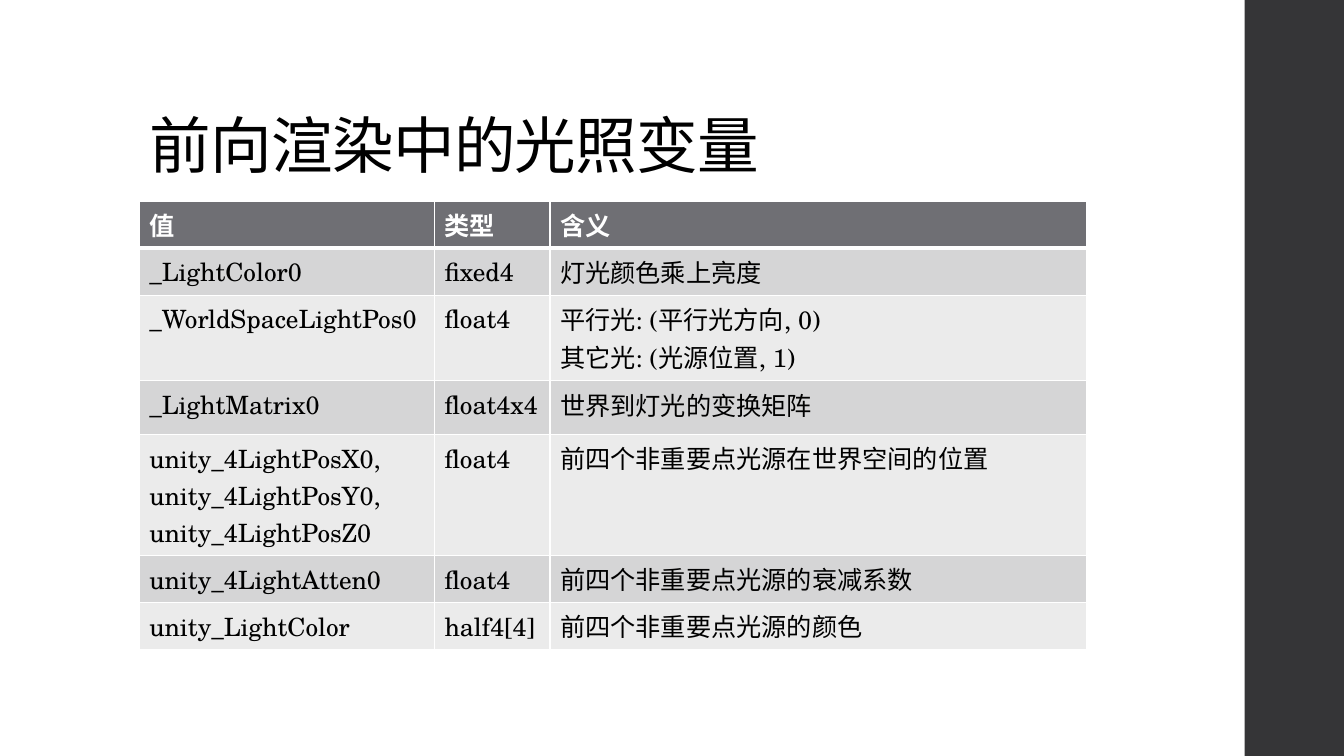
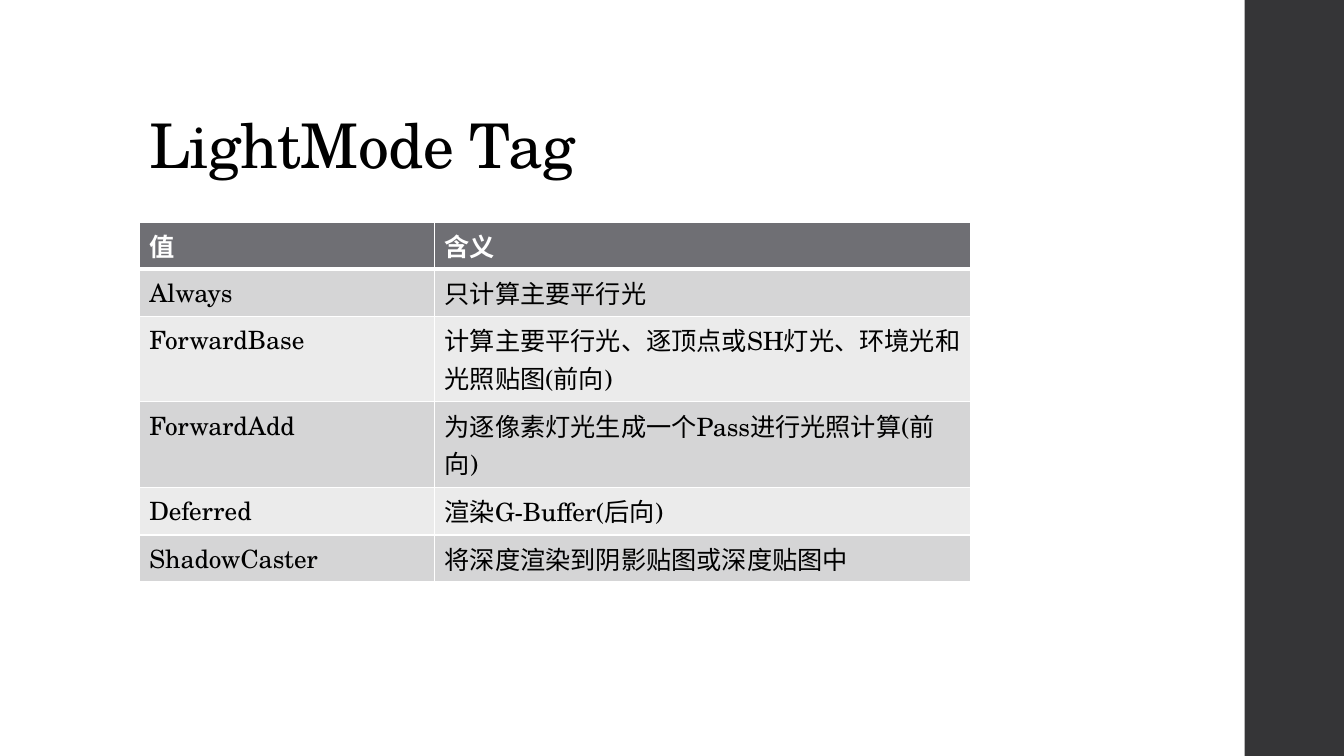
from dataclasses import dataclass

from lxml.etree import SubElement
from pptx import Presentation
from pptx.dml.color import RGBColor as RGB
from pptx.enum.shapes import MSO_SHAPE as Shape
from pptx.enum.text import MSO_ANCHOR as Anchor, MSO_AUTO_SIZE as AutoSize, PP_ALIGN as Align
from pptx.oxml.ns import qn
from pptx.util import Pt


@dataclass(frozen=True)
class Theme:
    font: str = "TeX Gyre Schola"
    title_size: int = 44
    body_size: int = 18
    ink: str = "000000"
    paper: str = "FFFFFF"
    side_band: str = "353537"
    header: str = "6F6F74"
    stripes: tuple = ("D5D5D6", "EBEBEB")
    rule: int = 1
    header_rule: int = 3


theme = Theme()

LEFT = 99.4
VALUE_W, TYPE_W, MEANING_W = 211, 82.5, 383
ROW_H, TALL_ROW_H, TALL_ROW = 29.2, 38.4, 3

# Content: title, table top, column widths, rows
pages = [
    ("前向渲染中的光照变量", 144, (VALUE_W, TYPE_W, MEANING_W), [
        ("值", "类型", "含义"),
        ("_LightColor0", "fixed4", "灯光颜色乘上亮度"),
        ("_WorldSpaceLightPos0", "float4", "平行光: (平行光方向, 0)\n其它光: (光源位置, 1)"),
        ("_LightMatrix0", "float4x4", "世界到灯光的变换矩阵"),
        ("unity_4LightPosX0,\nunity_4LightPosY0,\nunity_4LightPosZ0", "float4",
         "前四个非重要点光源在世界空间的位置"),
        ("unity_4LightAtten0", "float4", "前四个非重要点光源的衰减系数"),
        ("unity_LightColor", "half4[4]", "前四个非重要点光源的颜色"),
    ]),
    ("LightMode Tag", 159, (VALUE_W, MEANING_W), [
        ("值", "含义"),
        ("Always", "只计算主要平行光"),
        ("ForwardBase", "计算主要平行光、逐顶点或SH灯光、环境光和光照贴图(前向)"),
        ("ForwardAdd", "为逐像素灯光生成一个Pass进行光照计算(前向)"),
        ("Deferred", "渲染G-Buffer(后向)"),
        ("ShadowCaster", "将深度渲染到阴影贴图或深度贴图中"),
    ]),
]


def style_runs(text_frame, size, color, bold=False):
    for paragraph in text_frame.paragraphs:
        for run in paragraph.runs:
            run.font.name = theme.font
            run.font.size = Pt(size)
            run.font.bold = bold
            run.font.color.rgb = RGB.from_string(color)


def add_borders(cell, top, bottom):
    """Borders must stand before the fill in the cell properties."""
    properties = cell._tc.get_or_add_tcPr()
    widths = {"a:lnL": theme.rule, "a:lnR": theme.rule, "a:lnT": top, "a:lnB": bottom}
    for position, (tag, width) in enumerate(widths.items()):
        line = SubElement(properties, qn(tag), w=str(Pt(width)))
        fill = SubElement(line, qn("a:solidFill"))
        SubElement(fill, qn("a:srgbClr"), val=theme.paper)
        properties.insert(position, line)


deck = Presentation()
deck.slide_width, deck.slide_height = Pt(960), Pt(540)

# Shared layout: title place and style
layout = deck.slide_layouts.get_by_name("Title Only")
heading = layout.placeholders[0]
heading.left, heading.top = Pt(LEFT), Pt(28.8)
heading.width, heading.height = Pt(763.2), Pt(104.4)
heading.text_frame.vertical_anchor = Anchor.BOTTOM
heading.text_frame.auto_size = AutoSize.NONE

slides = [deck.slides.add_slide(layout) for page in pages]

# Shared layout: dark band on the right, moved from the first slide
band = slides[0].shapes.add_shape(Shape.RECTANGLE, Pt(889), 0, Pt(71), Pt(540))
band.shadow.inherit = False
band.fill.solid()
band.fill.fore_color.rgb = RGB.from_string(theme.side_band)
band.line.fill.background()
band.element.nvSpPr.cNvPr.set("id", "20")
layout.shapes.element.insert(2, band.element)

for slide, (title, top, widths, rows) in zip(slides, pages):
    # Title
    title_frame = slide.shapes.title.text_frame
    title_frame.text = title
    title_frame.vertical_anchor = Anchor.BOTTOM
    title_line = title_frame.paragraphs[0]
    title_line.alignment = Align.LEFT
    title_line.line_spacing = 0.9
    style_runs(title_frame, theme.title_size, theme.ink)
    title_line.runs[0].font._element.set("spc", "-50")

    # Table
    heights = [TALL_ROW_H if r == TALL_ROW else ROW_H for r in range(len(rows))]
    variables = slide.shapes.add_table(
        len(rows), len(widths), Pt(LEFT), Pt(top), Pt(sum(widths)), Pt(sum(heights))).table
    for column, width in zip(variables.columns, widths):
        column.width = Pt(width)
    for r, (row, height, texts) in enumerate(zip(variables.rows, heights, rows)):
        row.height = Pt(height)
        is_header = r == 0
        for cell, text in zip(row.cells, texts):
            cell.text_frame.text = text
            style_runs(cell.text_frame, theme.body_size,
                       theme.paper if is_header else theme.ink, bold=is_header)
            cell.fill.solid()
            cell.fill.fore_color.rgb = RGB.from_string(
                theme.header if is_header else theme.stripes[(r - 1) % 2])
            add_borders(cell,
                        top=theme.header_rule if r == 1 else theme.rule,
                        bottom=theme.header_rule if is_header else theme.rule)

deck.save("out.pptx")
